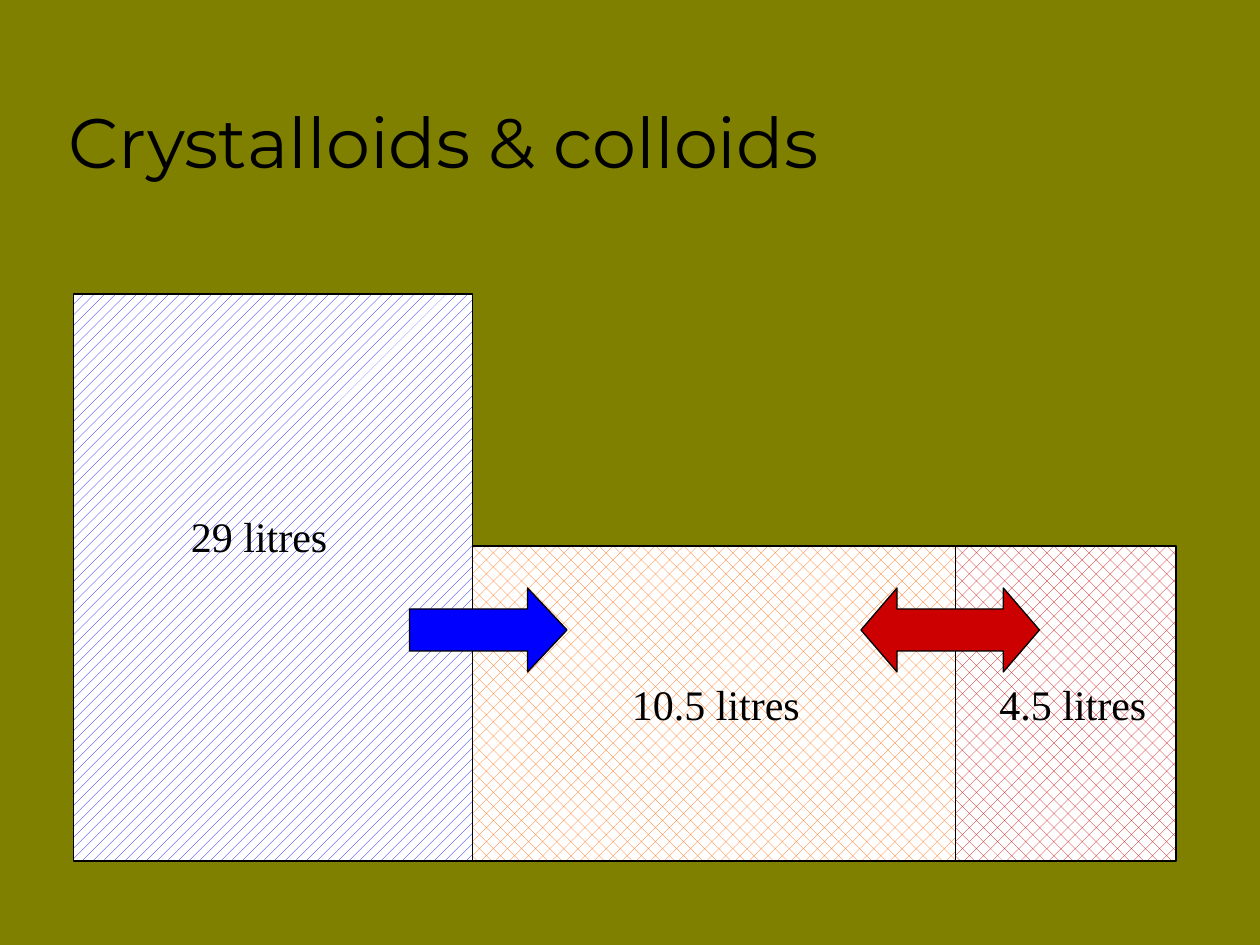
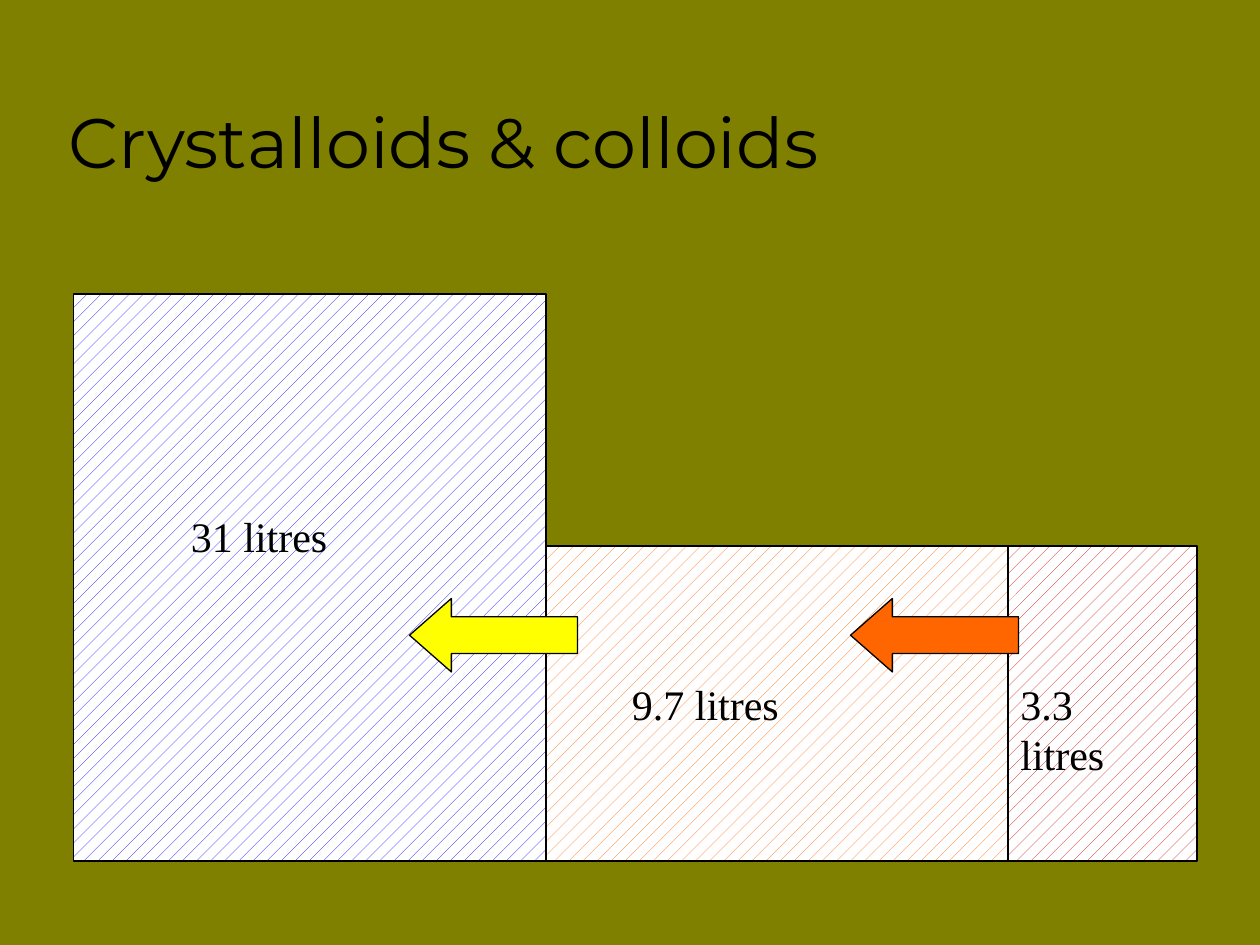
from pptx import Presentation, util as u
from pptx.dml.color import RGBColor
from pptx.enum import dml, shapes, text

COLUMNS, ROWS = 120, 90
CELL = u.Inches(10) // COLUMNS
BLACK, WHITE, OLIVE = "000000", "FFFFFF", "808000"
BLUE, ORANGE, RED, YELLOW = "0000FF", "FF6600", "CC0000", "FFFF00"
TITLE = "Crystalloids & colloids"
TITLE_FONT, LABEL_FONT = "Montserrat", "Times New Roman"

# The diagram's origin on the slide; everything inside it is relative to this.
DIAGRAM = (7, 28)
FLOOR = 54
TOPS = (0, 24, 24)
COLOURS = (BLUE, ORANGE, RED)
LABEL_TOPS = (20, 36, 36)

PATTERN = dml.MSO_PATTERN
ARROW = shapes.MSO_SHAPE

# widths: compartment widths in columns; labels: wording, column, width;
# arrows: shape, colour, box, head length.
STAGES = [
    dict(
        widths=(38, 46, 21),
        patterns=(PATTERN.PERCENT_20, PATTERN.PERCENT_25, PATTERN.PERCENT_25),
        labels=[("29 litres", 10, 20), ("10.5 litres", 52, 22), ("4.5 litres", 87, 18)],
        arrows=[
            (ARROW.LEFT_RIGHT_ARROW, RED, (75, 28, 17, 8), 0.43),
            (ARROW.RIGHT_ARROW, BLUE, (32, 28, 15, 8), 0.47),
        ],
    ),
    dict(
        widths=(45, 44, 18),
        patterns=(PATTERN.PERCENT_10,) * 3,
        labels=[("31 litres", 10, 20), ("9.7 litres", 52, 22), ("3.3 litres", 89, 14)],
        arrows=[
            (ARROW.LEFT_ARROW, ORANGE, (74, 29, 16, 7), 0.57),
            (ARROW.LEFT_ARROW, YELLOW, (32, 29, 16, 7), 0.57),
        ],
    ),
]


def colour(code):
    return RGBColor.from_string(code)


def place(origin, box):
    """Turn a box in grid cells, relative to origin, into slide lengths."""
    left, top, width, height = box
    cells = (origin[0] + left, origin[1] + top, width, height)
    return [cell * CELL for cell in cells]


def style_text(frame, font, size):
    for para in frame.paragraphs:
        para.alignment = text.PP_ALIGN.LEFT
        for span in para.runs:
            span.font.name = font
            span.font.size = u.Pt(size)
            span.font.color.rgb = colour(BLACK)


def prepare_layout(deck):
    """Set the background and title position that all slides inherit."""
    layout = deck.slide_layouts[5]
    layout.background.fill.solid()
    layout.background.fill.fore_color.rgb = colour(OLIVE)
    title = layout.placeholders[0]
    title.left, title.top = u.Inches(0.44), u.Inches(0.25)
    title.width, title.height = u.Inches(8.5), u.Inches(1.25)
    return layout


def write_title(page):
    frame = page.shapes.title.text_frame
    frame.text = TITLE
    frame.vertical_anchor = text.MSO_ANCHOR.BOTTOM
    frame.auto_size = text.MSO_AUTO_SIZE.NONE
    style_text(frame, TITLE_FONT, 40)


def add_outlined(page, kind, origin, box):
    shape = page.shapes.add_shape(kind, *place(origin, box))
    shape.shadow.inherit = False
    shape.line.color.rgb = colour(BLACK)
    shape.line.width = u.Pt(0.75)
    return shape


def add_compartment(page, origin, box, ink, pattern):
    fill = add_outlined(page, ARROW.RECTANGLE, origin, box).fill
    fill.patterned()
    fill.pattern = pattern
    fill.fore_color.rgb = colour(ink)
    fill.back_color.rgb = colour(WHITE)


def add_label(page, origin, box, wording):
    frame = page.shapes.add_textbox(*place(origin, box)).text_frame
    frame.word_wrap = True
    frame.auto_size = text.MSO_AUTO_SIZE.SHAPE_TO_FIT_TEXT
    frame.text = wording
    style_text(frame, LABEL_FONT, 24)


def add_arrow(page, origin, kind, ink, box, head):
    arrow = add_outlined(page, kind, origin, box)
    arrow.adjustments[0] = 0.5
    arrow.adjustments[1] = head
    arrow.fill.solid()
    arrow.fill.fore_color.rgb = colour(ink)


def draw_compartments(page, origin, stage):
    left = 0
    parts = zip(stage["widths"], TOPS, COLOURS, stage["patterns"], stage["labels"], LABEL_TOPS)
    for width, top, ink, pattern, label, label_top in parts:
        add_compartment(page, origin, (left, top, width, FLOOR - top), ink, pattern)
        wording, label_left, label_width = label
        add_label(page, origin, (label_left, label_top, label_width, 6), wording)
        left += width
    for arrow in stage["arrows"]:
        add_arrow(page, origin, *arrow)


def main():
    deck = Presentation()
    deck.slide_width, deck.slide_height = COLUMNS * CELL, ROWS * CELL
    layout = prepare_layout(deck)
    for stage in STAGES:
        page = deck.slides.add_slide(layout)
        write_title(page)
        draw_compartments(page, DIAGRAM, stage)
    deck.save("out.pptx")


if __name__ == "__main__":
    main()
